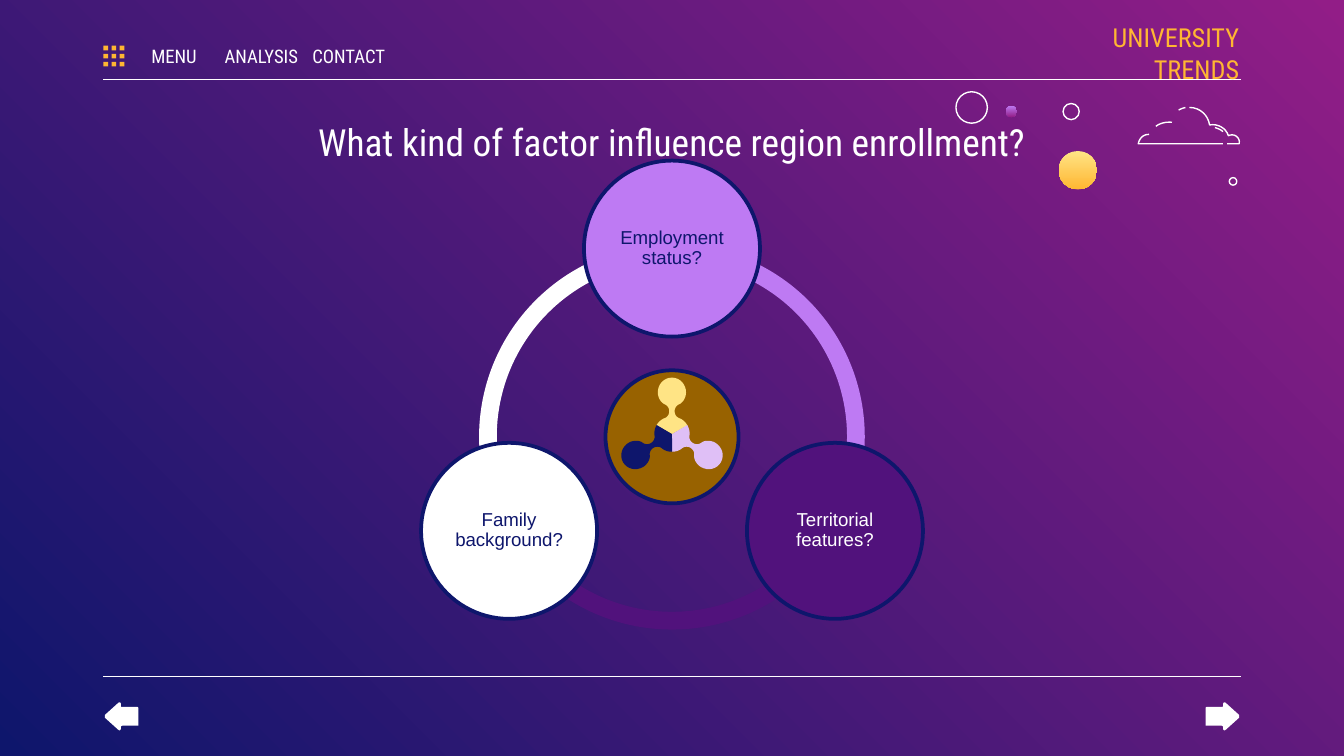
from math import cos, radians, sin

from lxml.etree import SubElement
from pptx import Presentation
from pptx.dml.color import RGBColor
from pptx.enum.shapes import MSO_CONNECTOR as Connector, MSO_SHAPE as Shape
from pptx.enum.text import MSO_ANCHOR as Anchor, PP_ALIGN as Align
from pptx.oxml.ns import qn
from pptx.util import Inches, Pt

# The slide is a grid of square cells: 100 columns by 56.25 rows.
COLUMNS, ROWS = 100, 56.25
CELL = Inches(0.1)
LEFT, RIGHT = 7.7, 92.3
CENTRE = (50, 32.5)
ORBIT = 14
COLORS = {
    "white": "FFFFFF", "navy": "0E166C", "magenta": "921D87",
    "purple": "51127C", "lilac": "BE7AF3", "pale": "DFBFF6",
    "gold": "FFB632", "cream": "FFE485", "bronze": "986200",
}
HEADING_FONT, BODY_FONT = "Roboto Condensed", "Arial"

# Paths: a start point, then lines (x, y) and Bezier curves (six numbers).
ARROW = [
    (8.8, 54.3), (7.8, 53.4), (7.8, 53.4, 7.8, 53.3, 7.8, 53.2), (8.8, 52.3),
    (8.9, 52.2, 9, 52.3, 9, 52.4), (9, 52.5), (9, 52.6, 9, 52.6, 9.1, 52.6),
    (10.2, 52.6), (10.3, 52.6, 10.3, 52.7, 10.3, 52.7), (10.3, 53.9),
    (10.3, 54, 10.3, 54, 10.2, 54), (9.1, 54), (9, 54, 9, 54.1, 9, 54.1),
    (9, 54.2), (9, 54.3, 8.9, 54.4, 8.8, 54.3),
]
CLOUD = [
    [(88.5, 8), (89.3, 8, 89.9, 8.6, 90, 9.3), (90.6, 9.2, 91.2, 9.5, 91.4, 10.1),
     (91.8, 9.9, 92.3, 10.2, 92.2, 10.7), (91.3, 10.7)],
    [(88.2, 8), (88.2, 8, 87.8, 8.1, 87.7, 8.2)],
    [(91, 10.7), (84.7, 10.7), (84.7, 10.7, 84.8, 10, 85.5, 10)],
    [(90.4, 9.5), (90.4, 9.5, 90.8, 9.6, 91, 9.8)],
    [(87.2, 9.1), (87.2, 9.1, 86.5, 9, 86, 9.4)],
]
HALF_LOBE = [
    (0, -4.2), (-0.6, -4.2, -1.05, -3.7, -1.05, -3.1),
    (-1.05, -2.7, -0.8, -2.3, -0.5, -2.2), (-0.3, -2.1, -0.2, -1.9, -0.2, -1.7),
    (-0.2, -1.5, -0.3, -1.3, -0.5, -1.2), (-0.8, -1.1, -1, -0.9, -1.15, -0.65),
    (0, 0),
]


def color(name):
    return RGBColor.from_string(COLORS[name])


def cells(*lengths):
    return [round(length * CELL) for length in lengths]


def around(centre, radius, degrees):
    """Point on a circle, with degrees clockwise from the right."""
    angle = radians(degrees)
    return centre[0] + radius * cos(angle), centre[1] + radius * sin(angle)


def flatten(path, steps=8):
    """Turn a path of lines and Bezier curves into points."""
    points = [path[0]]
    for part in path[1:]:
        if len(part) == 2:
            points.append(part)
            continue
        nodes = [points[-1], part[:2], part[2:4], part[4:]]
        for step in range(1, steps + 1):
            t = step / steps
            weights = ((1 - t) ** 3, 3 * t * (1 - t) ** 2, 3 * t * t * (1 - t), t ** 3)
            points.append(tuple(sum(w * node[axis] for w, node in zip(weights, nodes))
                                for axis in (0, 1)))
    return points


def apply_gradient(fill, first, last, degrees):
    """Two-stop gradient, with degrees counted anticlockwise."""
    fill.gradient()
    fill.gradient_angle = degrees
    for stop, name in zip(fill.gradient_stops, (first, last)):
        stop.color.rgb = color(name)


def paint(shape, fill=None, line=None, weight=0.75):
    shape.shadow.inherit = False
    if isinstance(fill, tuple):
        apply_gradient(shape.fill, *fill, 270)
    elif fill:
        shape.fill.solid()
        shape.fill.fore_color.rgb = color(fill)
    else:
        shape.fill.background()
    if line:
        shape.line.color.rgb = color(line)
        shape.line.width = Pt(weight)
    else:
        shape.line.fill.background()


def write(shape, text, size, font, name, align=Align.CENTER, anchor=Anchor.MIDDLE,
          insets=(0.1, 0.1, 0.1, 0.1)):
    frame = shape.text_frame
    frame.word_wrap = True
    frame.vertical_anchor = anchor
    (frame.margin_left, frame.margin_top,
     frame.margin_right, frame.margin_bottom) = map(Inches, insets)
    paragraph = frame.paragraphs[0]
    paragraph.text = text
    paragraph.alignment = align
    paragraph.font.size = Pt(size)
    paragraph.font.name = font
    paragraph.font.color.rgb = color(name)
    return paragraph


def add_label(slide, box, text, size, name="white", **layout):
    write(slide.shapes.add_textbox(*cells(*box)), text, size, HEADING_FONT, name, **layout)


def add_rule(slide, row):
    line = slide.shapes.add_connector(Connector.STRAIGHT, *cells(LEFT, row, RIGHT, row))
    line.line.color.rgb = color("white")
    line.line.width = Pt(0.75)
    SubElement(line._element.spPr, qn("a:effectLst"))


def add_circle(slide, centre, radius, **style):
    x, y = centre
    box = cells(x - radius, y - radius, 2 * radius, 2 * radius)
    circle = slide.shapes.add_shape(Shape.OVAL, *box)
    paint(circle, **style)
    return circle


def add_outline(slide, points, close=True, **style):
    start, *others = [cells(*point) for point in points]
    builder = slide.shapes.build_freeform(*start)
    builder.add_line_segments(others, close=close)
    paint(builder.convert_to_shape(), **style)


def add_header(slide):
    for column in range(3):
        for row in range(3):
            dot = slide.shapes.add_shape(
                Shape.RECTANGLE, *cells(LEFT + 0.6 * column, 3.4 + 0.6 * row, 0.35, 0.35))
            paint(dot, fill="gold")
    for index, entry in enumerate(("MENU", "ANALYSIS", "CONTACT")):
        add_label(slide, (10.1 + 6.5 * index, 3, 5.7, 2.3), entry, 10,
                  insets=(0, 0.1, 0, 0.1))
    add_label(slide, (77.2, 2.3, 15, 3.3), "UNIVERSITY TRENDS", 14, "gold",
              align=Align.RIGHT, insets=(0.1, 0.1, 0, 0.1))


def add_sky(slide):
    for centre, radius in (((72.3, 8), 1.17), ((79.7, 8.3), 0.6), ((91.75, 13.5), 0.28)):
        add_circle(slide, centre, radius, line="white")
    add_circle(slide, (80.2, 12.67), 1.43, fill=("cream", "gold"))
    add_circle(slide, (75.25, 8.3), 0.43, fill=("lilac", "magenta"))
    for stroke in CLOUD:
        add_outline(slide, flatten(stroke), close=False, line="white")


def add_ring(slide):
    x, y = CENTRE
    radius = 14.35
    for start, name in ((150, "white"), (30, "purple"), (270, "lilac")):
        arc = slide.shapes.add_shape(
            Shape.BLOCK_ARC, *cells(x - radius, y - radius, 2 * radius, 2 * radius))
        for index, degrees in enumerate((start, (start + 120) % 360)):
            arc.adjustments[index] = degrees * 0.6  # 60000 per degree over 100000
        arc.adjustments[2] = 0.046
        paint(arc, fill=name)


def add_factors(slide):
    factors = (("Employment status?", "lilac", "navy"),
               ("Territorial features?", "purple", "white"),
               ("Family background?", "white", "navy"))
    for index, (text, fill, ink) in enumerate(factors):
        circle = add_circle(slide, around(CENTRE, ORBIT, 120 * index - 90), 6.55,
                            fill=fill, line="navy", weight=2)
        paragraph = write(circle, text, 10, BODY_FONT, ink, insets=(0.01,) * 4)
        paragraph.line_spacing = 0.9


def add_hub(slide):
    add_circle(slide, CENTRE, 4.95, fill="bronze", line="navy", weight=2)
    half = flatten(HALF_LOBE)
    lobe = half + [(-x, y) for x, y in reversed(half[1:-1])]
    for index, name in enumerate(("cream", "pale", "navy")):
        angle = radians(120 * index)
        points = [(50 + x * cos(angle) - y * sin(angle),
                   32.3 + x * sin(angle) + y * cos(angle)) for x, y in lobe]
        add_outline(slide, points, fill=name)


def main():
    presentation = Presentation()
    presentation.slide_width, presentation.slide_height = cells(COLUMNS, ROWS)
    slide = presentation.slides.add_slide(presentation.slide_layouts[6])
    apply_gradient(slide.background.fill, "magenta", "navy", 225)
    for row in (5.9, 50.35):
        add_rule(slide, row)
    add_label(slide, (7.8, 7.9, 84.4, 4.7), "What kind of factor influence region enrollment?",
              20, anchor=Anchor.TOP)
    arrow = flatten(ARROW)
    add_outline(slide, arrow, fill="white")
    add_outline(slide, [(COLUMNS - x, y) for x, y in arrow], fill="white")
    add_header(slide)
    add_sky(slide)
    add_ring(slide)
    add_hub(slide)
    add_factors(slide)
    presentation.save("out.pptx")


if __name__ == "__main__":
    main()
